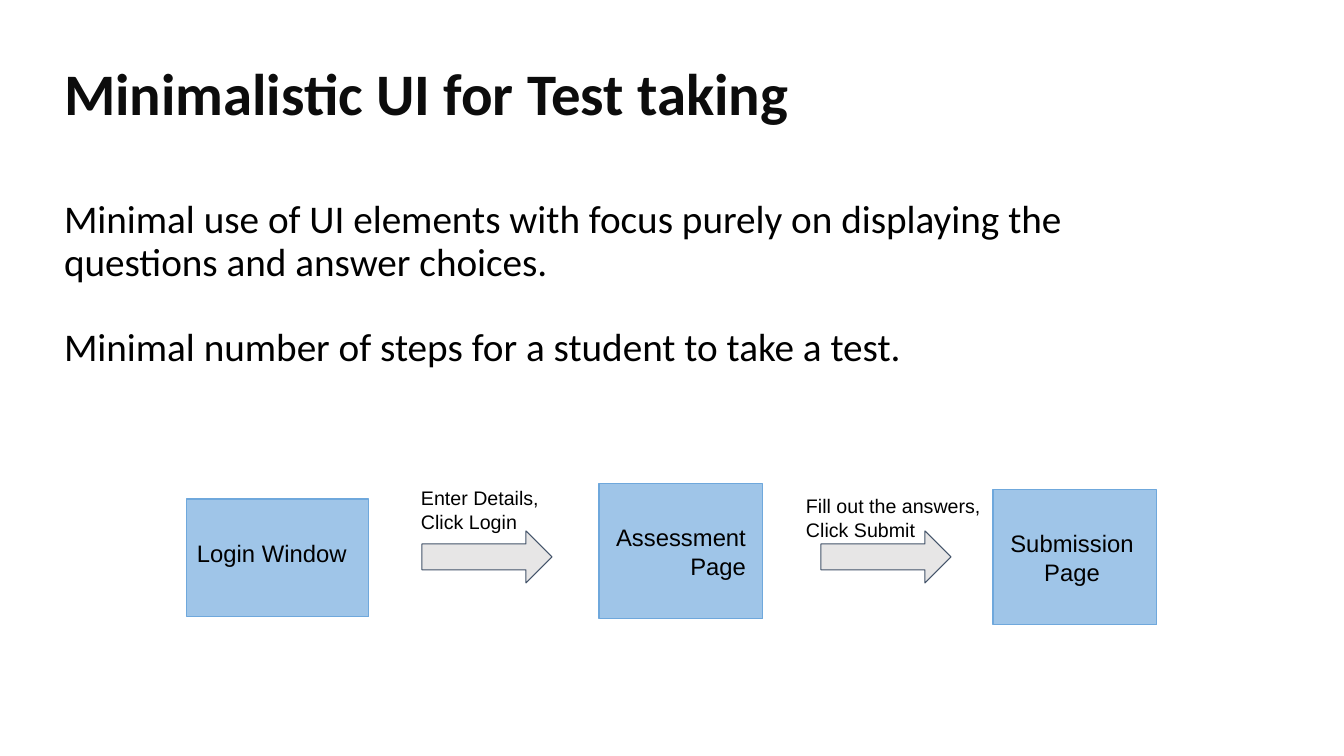
from pptx import Presentation
from pptx.dml.color import RGBColor as Rgb
from pptx.enum.shapes import MSO_SHAPE as Shape
from pptx.enum.text import MSO_ANCHOR as Anchor, MSO_AUTO_SIZE as Auto, PP_ALIGN as Align
from pptx.util import Pt

TITLE = "Minimalistic UI for Test taking"
BODY = [
    "Minimal use of UI elements with focus purely on displaying the questions and answer choices.",
    "Minimal number of steps for a student to take a test.",
]
PAGES = [
    ("Login Window", (187, 499, 182, 118), Align.LEFT, (10, 0, 0, 10)),
    ("Assessment\vPage", (599, 484, 164, 135), Align.RIGHT, (0, 0, 17, 0)),
    ("Submission\vPage", (993, 490, 164, 135), Align.CENTER, (0, 0, 6, 0)),
]
STEPS = [
    ("Enter Details,\vClick Login", (411, 476, 180, 118), 422),
    ("Fill out the answers,\vClick Submit", (796, 484, 243, 118), 821),
]
THEME = {
    "title": {"name": "Calibri", "size": 42, "bold": True, "color": "0C0C0C"},
    "body": {"name": "Calibri", "size": 28, "bold": False, "color": "000000"},
    "page": {"name": "Arial", "size": 17, "bold": False, "color": "000000"},
    "step": {"name": "Arial", "size": 14, "bold": False, "color": "000000"},
    "box": ("9FC5E8", "6FA8DC"),
    "arrow": ("E7E6E6", "44546A"),
}
SCALE = 914400 / 100.8
PAD = (10, 10, 10, 10)


def px(*nums):
    return [round(num * SCALE) for num in nums]


def write(item, lines, style, align=Align.LEFT, anchor=Anchor.TOP, pad=PAD, lead=1.0, gap=0):
    frame = item.text_frame
    sides = ("margin_left", "margin_top", "margin_right", "margin_bottom")
    form = dict(zip(sides, px(*pad)))
    form.update(word_wrap=True, auto_size=Auto.NONE, vertical_anchor=anchor)
    for key, val in form.items():
        setattr(frame, key, val)
    frame.text = "\n".join(lines)
    look = THEME[style]
    for spot, para in enumerate(frame.paragraphs):
        para.alignment = align
        para.line_spacing = lead
        para.space_before = Pt(gap if spot else 0)
        for run in para.runs:
            for key in ("name", "bold"):
                setattr(run.font, key, look[key])
            run.font.size = Pt(look["size"])
            run.font.color.rgb = Rgb.from_string(look["color"])


def draw(kind, area, style):
    item = slide.shapes.add_shape(kind, *px(*area))
    fill, line = THEME[style]
    item.shadow.inherit = False
    item.fill.solid()
    item.fill.fore_color.rgb = Rgb.from_string(fill)
    item.line.color.rgb = Rgb.from_string(line)
    item.line.width = Pt(0.75)
    return item


deck = Presentation()
deck.slide_width, deck.slide_height = px(1344, 756)
slide = deck.slides.add_slide(deck.slide_layouts[5])

head = slide.shapes.title
for key, val in zip(("left", "top", "width", "height"), px(54, 23, 1159, 146)):
    setattr(head, key, val)
write(head, [TITLE], "title", anchor=Anchor.MIDDLE, lead=0.9)
body = slide.shapes.add_textbox(*px(54, 190, 1159, 270))
write(body, BODY, "body", lead=0.9, gap=30.5)

for text, area, align, pad in PAGES:
    box = draw(Shape.RECTANGLE, area, "box")
    write(box, [text], "page", align, Anchor.MIDDLE, pad)

for text, area, left in STEPS:
    draw(Shape.RIGHT_ARROW, (left, 531, 130, 52), "arrow")
    write(slide.shapes.add_textbox(*px(*area)), [text], "step")

deck.save("out.pptx")
